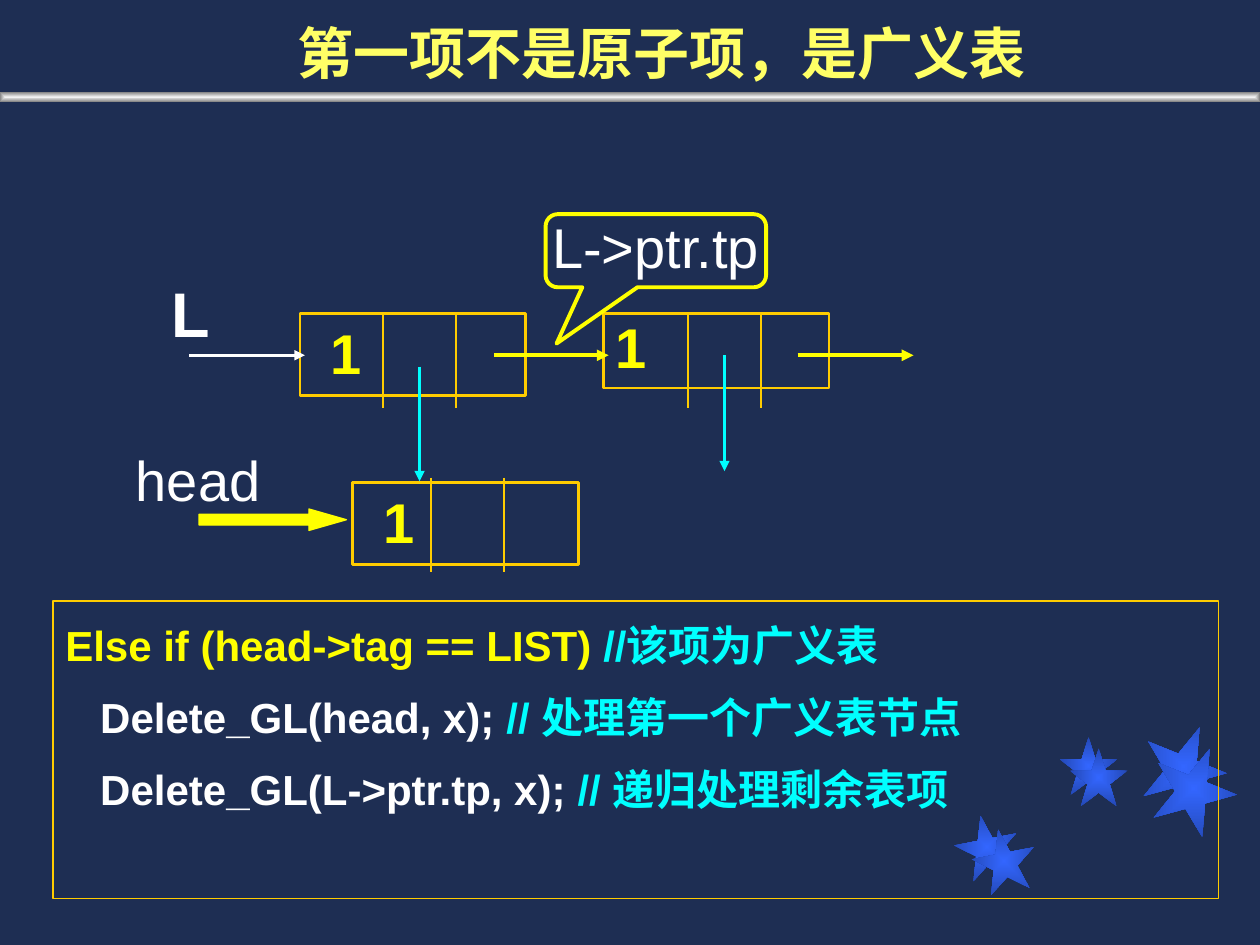
from dataclasses import dataclass

from lxml import etree
from pptx import Presentation
from pptx.dml.color import RGBColor
from pptx.enum.shapes import MSO_CONNECTOR, MSO_SHAPE
from pptx.enum.text import MSO_ANCHOR, PP_ALIGN
from pptx.oxml.ns import qn
from pptx.util import Inches, Pt

STRAIGHT = MSO_CONNECTOR.STRAIGHT
RECTANGLE, STAR = MSO_SHAPE.RECTANGLE, MSO_SHAPE.STAR_5_POINT
RIGHT_ARROW = MSO_SHAPE.RIGHT_ARROW
CALLOUT = MSO_SHAPE.ROUNDED_RECTANGULAR_CALLOUT
TOP, MIDDLE = MSO_ANCHOR.TOP, MSO_ANCHOR.MIDDLE
LEFT, CENTER = PP_ALIGN.LEFT, PP_ALIGN.CENTER

NAVY = RGBColor(0x1E, 0x2E, 0x53)
BLUE = RGBColor(0x33, 0x66, 0xFF)
DEEP_BLUE = RGBColor(0x24, 0x49, 0xB6)
SILVER = RGBColor(0xF2, 0xF2, 0xF2)
GRAY = RGBColor(0x80, 0x80, 0x80)
GOLD = RGBColor(0xFF, 0xCC, 0x00)
YELLOW = RGBColor(0xFF, 0xFF, 0x00)
PALE_YELLOW = RGBColor(0xFF, 0xFF, 0x66)
CYAN = RGBColor(0x00, 0xFF, 0xFF)
WHITE = RGBColor(0xFF, 0xFF, 0xFF)

DIVIDER_GAP, DIVIDER_HEIGHT = 0.58, 0.75


@dataclass
class StarPair:
    left: float
    top: float
    size: float
    rotation: float
    shift_x: float
    shift_y: float


@dataclass
class Node:
    left: float
    top: float
    height: float
    first_divider: float
    divider_top: float
    inset_left: float = 0.24
    inset_top: float = 0.1


@dataclass
class Link:
    start: tuple[float, float]
    end: tuple[float, float]
    color: RGBColor
    width: float


def write(frame, lines, *, size, font="Arial", bold=False, align=LEFT, anchor=TOP,
          spacing=0.9, before=0, wrap=True, inset_left=0.1, inset_top=0.05):
    """Fill a text frame; each line is a list of (text, colour) runs."""
    frame.word_wrap = wrap
    frame.vertical_anchor = anchor
    frame.margin_left, frame.margin_top = Inches(inset_left), Inches(inset_top)
    for index, runs in enumerate(lines):
        paragraph = frame.add_paragraph() if index else frame.paragraphs[0]
        paragraph.alignment = align
        paragraph.line_spacing = spacing
        paragraph.space_before = Pt(before if index else 0)
        for text, color in runs:
            run = paragraph.add_run()
            run.text = text
            run.font.name, run.font.size, run.font.bold = font, Pt(size), bold
            run.font.color.rgb = color


def add_shape(slide, kind, left, top, width, height, *, fill=None, line=None, line_width=1.5):
    shape = slide.shapes.add_shape(kind, Inches(left), Inches(top), Inches(width), Inches(height))
    shape.shadow.inherit = False
    if fill is None:
        shape.fill.background()
    else:
        shape.fill.solid()
        shape.fill.fore_color.rgb = fill
    if line is None:
        shape.line.fill.background()
    else:
        shape.line.color.rgb = line
        shape.line.width = Pt(line_width)
    return shape


def glow_from_center(shape, inner: RGBColor, outer: RGBColor) -> None:
    shape.fill.gradient()
    for stop, color in zip(shape.fill.gradient_stops, (inner, outer)):
        stop.color.rgb = color
    gradient = shape.element.spPr.find(qn("a:gradFill"))
    linear = gradient.find(qn("a:lin"))
    center = etree.Element(qn("a:path"), path="shape")
    etree.SubElement(center, qn("a:fillToRect"), dict.fromkeys("ltrb", "50000"))
    gradient.replace(linear, center)


def add_line(slide, link: Link, arrow: bool = True) -> None:
    points = [Inches(value) for value in (*link.start, *link.end)]
    connector = slide.shapes.add_connector(STRAIGHT, *points)
    connector.line.color.rgb = link.color
    connector.line.width = Pt(link.width)
    properties = connector.element.spPr
    if arrow:
        etree.SubElement(properties.find(qn("a:ln")), qn("a:tailEnd"), type="triangle")
    etree.SubElement(properties, qn("a:effectLst"))


def add_stars(slide, pair: StarPair) -> None:
    for step in range(2):
        star = add_shape(slide, STAR, pair.left + step * pair.shift_x,
                         pair.top + step * pair.shift_y, pair.size, pair.size)
        star.rotation = pair.rotation
        glow_from_center(star, BLUE, DEEP_BLUE)


def add_node(slide, node: Node) -> None:
    cell = add_shape(slide, RECTANGLE, node.left, node.top, 1.79, node.height, line=GOLD)
    write(cell.text_frame, [[("1", YELLOW)]], size=32, bold=True,
          inset_left=node.inset_left, inset_top=node.inset_top)
    for index in range(2):
        x = node.first_divider + index * DIVIDER_GAP
        bottom = node.divider_top + DIVIDER_HEIGHT
        add_line(slide, Link((x, node.divider_top), (x, bottom), GOLD, 1.5), arrow=False)


def add_label(slide, text: str, left, top, width, height, *, size, bold=False) -> None:
    label = slide.shapes.add_textbox(Inches(left), Inches(top), Inches(width), Inches(height))
    write(label.text_frame, [[(text, WHITE)]], size=size, bold=bold, wrap=False)


def main() -> None:
    deck = Presentation()
    deck.slide_width, deck.slide_height = Inches(10), Inches(7.5)
    slide = deck.slides.add_slide(deck.slide_layouts[5])
    slide.background.fill.solid()
    slide.background.fill.fore_color.rgb = NAVY

    # Star decoration and the bar under the title
    for pair in (StarPair(7.58, 6.47, 0.5, 349, 0.14, 0.11),
                 StarPair(8.41, 5.85, 0.46, 0, 0.08, 0.09),
                 StarPair(9.06, 5.75, 0.67, 22, 0.08, 0.17)):
        add_stars(slide, pair)
    bar = add_shape(slide, RECTANGLE, 0, 0.73, 10, 0.08)
    glow_from_center(bar, SILVER, GRAY)

    # Title
    title = slide.shapes.title
    title.left, title.top = Inches(0.5), Inches(-0.09)
    title.width, title.height = Inches(9.5), Inches(1.07)
    write(title.text_frame, [[("第一项不是原子项，是广义表", PALE_YELLOW)]], size=32,
          font="Times New Roman", bold=True, align=CENTER, anchor=MIDDLE)

    # Code
    code = add_shape(slide, RECTANGLE, 0.42, 4.77, 9.25, 2.36, line=GOLD, line_width=0.75)
    write(code.text_frame, [
        [("Else if (head->tag == LIST) ", YELLOW), ("//该项为广义表", CYAN)],
        [("   Delete_GL(head, x); ", WHITE), ("// 处理第一个广义表节点", CYAN)],
        [("   Delete_GL(L->ptr.tp, x); ", WHITE), ("// 递归处理剩余表项", CYAN)],
    ], size=24, bold=True, spacing=1.25, before=5)

    # List nodes
    for node in (Node(2.38, 2.49, 0.65, 3.04, 2.49),
                 Node(4.79, 2.49, 0.59, 5.46, 2.49, inset_left=0.1, inset_top=0.05),
                 Node(2.8, 3.83, 0.65, 3.42, 3.79)):
        add_node(slide, node)

    # Pointers
    for link in (Link((1.5, 2.82), (2.42, 2.82), WHITE, 1.75),
                 Link((3.92, 2.82), (4.83, 2.82), YELLOW, 2.25),
                 Link((6.33, 2.82), (7.25, 2.82), YELLOW, 2.25),
                 Link((3.33, 2.91), (3.33, 3.82), CYAN, 1.5),
                 Link((5.75, 2.82), (5.75, 3.74), CYAN, 1.5)):
        add_line(slide, link)
    head_arrow = add_shape(slide, RIGHT_ARROW, 1.58, 4.04, 1.17, 0.17,
                           fill=YELLOW, line=YELLOW, line_width=0.75)
    head_arrow.adjustments[1] = 1.75

    # Labels
    add_label(slide, "L", 1.26, 2.2, 0.51, 0.65, size=36, bold=True)
    add_label(slide, "head", 0.98, 3.55, 1.2, 0.59, size=32)
    callout = add_shape(slide, CALLOUT, 4.33, 1.7, 1.75, 0.58, line=YELLOW, line_width=2.25)
    callout.adjustments[0], callout.adjustments[1] = -0.45, 1.27
    write(callout.text_frame, [[("L->ptr.tp", WHITE)]], size=32,
          align=CENTER, anchor=MIDDLE, wrap=False)

    deck.save("out.pptx")


if __name__ == "__main__":
    main()
